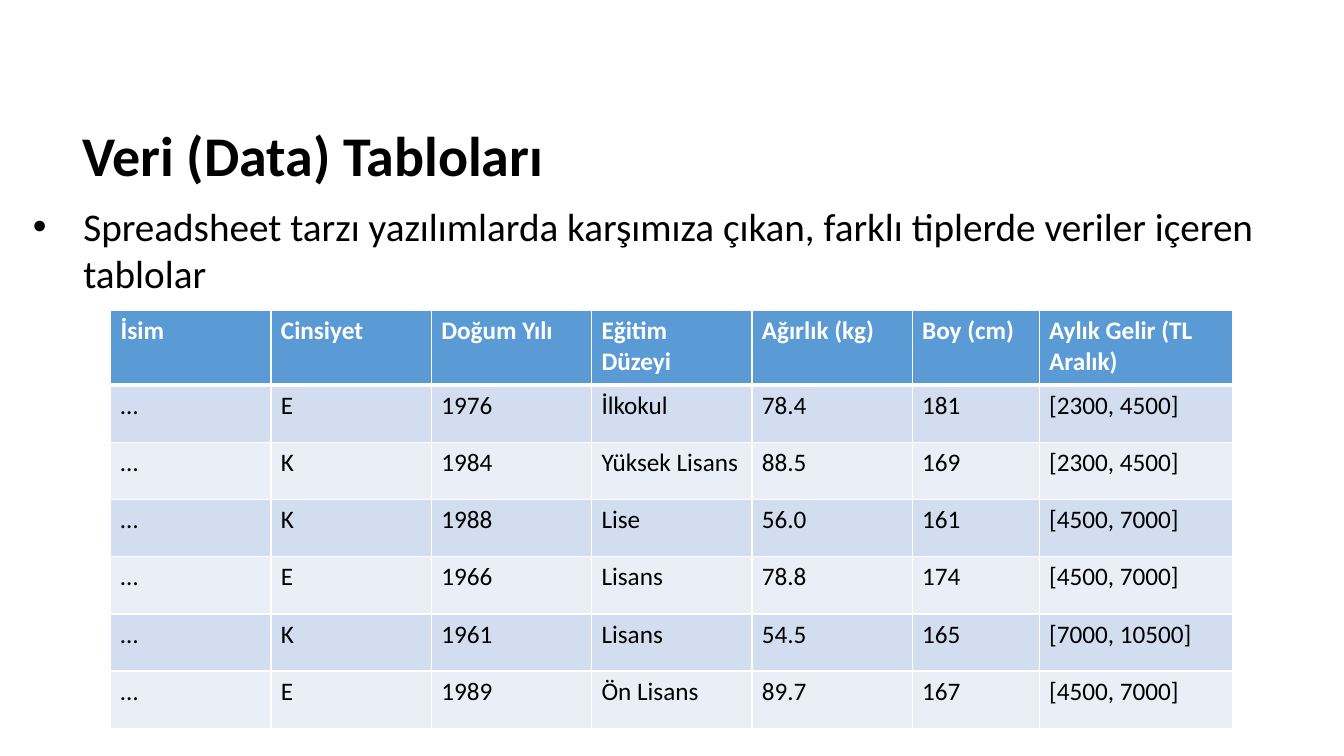
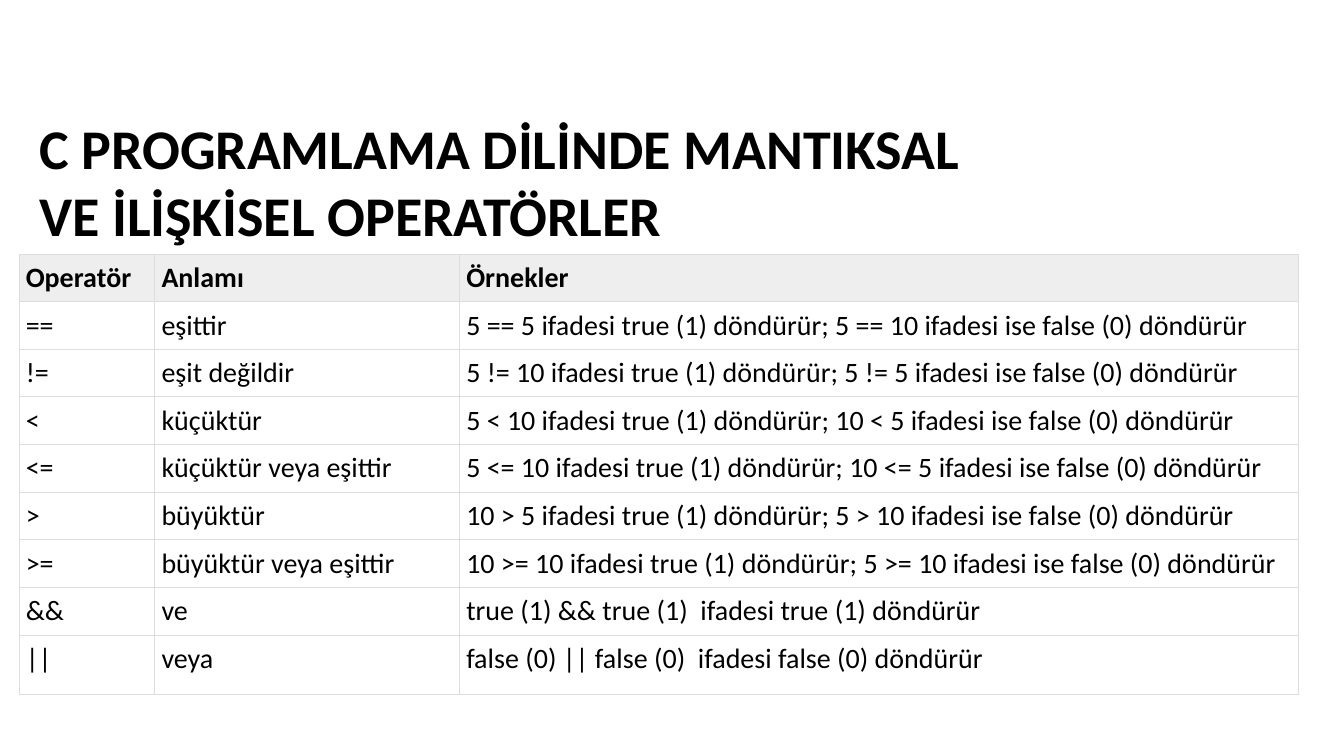
from dataclasses import dataclass

from pptx import Presentation
from pptx.dml.color import RGBColor
from pptx.enum.text import MSO_AUTO_SIZE as AutoSize
from pptx.oxml.ns import qn
from pptx.slide import Slide
from pptx.table import _Cell as Cell
from pptx.text.text import TextFrame
from pptx.util import Cm, Pt
from lxml.etree import SubElement

COLORS = {
    "text": "000000",
    "white": "FFFFFF",
    "blue": "5B9BD5",
    "band_dark": "D2DEEF",
    "band_light": "EAEFF7",
    "gray": "EEEEEE",
    "rule": "DDDDDD",
}
FONT = "Calibri"
TITLE_SIZE = 40
BULLET_SIZE = 28
BULLET_INDENT = Cm(1.27)


@dataclass(frozen=True)
class Box:
    left: float
    top: float
    width: float
    height: float

    def lengths(self) -> tuple[Cm, Cm, Cm, Cm]:
        return Cm(self.left), Cm(self.top), Cm(self.width), Cm(self.height)


@dataclass(frozen=True)
class TableStyle:
    """Look of a table; widths of borders are in points, margins in cm."""
    size: int
    header_fill: str
    header_text: str
    bands: tuple[str, ...]
    border: str
    border_width: float
    header_rule: float
    margin_x: float
    margin_y: float


@dataclass(frozen=True)
class TableData:
    left: float
    top: float
    columns: list[float]
    heights: list[float]
    rows: list[tuple[str, ...]]
    style: TableStyle


BANDED = TableStyle(18, "blue", "white", ("band_dark", "band_light"),
                    "white", 1, 3, 0.25, 0.13)
RULED = TableStyle(20, "gray", "text", ("white",), "rule", 0.75, 0.75, 0.17, 0.17)

PEOPLE = TableData(
    2.79, 7.82, [4.04] * 5 + [3.2, 4.88], [1.89] + [1.44] * 6,
    [
        ("İsim", "Cinsiyet", "Doğum Yılı", "Eğitim Düzeyi", "Ağırlık (kg)",
         "Boy (cm)", "Aylık Gelir (TL Aralık)"),
        ("…", "E", "1976", "İlkokul", "78.4", "181", "[2300, 4500]"),
        ("…", "K", "1984", "Yüksek Lisans", "88.5", "169", "[2300, 4500]"),
        ("…", "K", "1988", "Lise", "56.0", "161", "[4500, 7000]"),
        ("…", "E", "1966", "Lisans", "78.8", "174", "[4500, 7000]"),
        ("…", "K", "1961", "Lisans", "54.5", "165", "[7000, 10500]"),
        ("…", "E", "1989", "Ön Lisans", "89.7", "167", "[4500, 7000]"),
    ],
    BANDED,
)
OPERATORS = TableData(
    0.48, 6.4, [3.42, 7.68, 21.13], [1.2] * 8 + [1.5],
    [
        ("Operatör", "Anlamı", "Örnekler"),
        ("==", "eşittir",
         "5 == 5 ifadesi true (1) döndürür; 5 == 10 ifadesi ise false (0) döndürür"),
        ("!=", "eşit değildir",
         "5 != 10 ifadesi true (1) döndürür; 5 != 5 ifadesi ise false (0) döndürür"),
        ("<", "küçüktür",
         "5 < 10 ifadesi true (1) döndürür; 10 < 5 ifadesi ise false (0) döndürür"),
        ("<=", "küçüktür veya eşittir",
         "5 <= 10 ifadesi true (1) döndürür; 10 <= 5 ifadesi ise false (0) döndürür"),
        (">", "büyüktür",
         "10 > 5 ifadesi true (1) döndürür; 5 > 10 ifadesi ise false (0) döndürür"),
        (">=", "büyüktür veya eşittir",
         "10 >= 10 ifadesi true (1) döndürür; 5 >= 10 ifadesi ise false (0) döndürür"),
        ("&&", "ve", "true (1) && true (1)  ifadesi true (1) döndürür"),
        ("||", "veya", "false (0) || false (0)  ifadesi false (0) döndürür"),
    ],
    RULED,
)


def rgb(name: str) -> RGBColor:
    return RGBColor.from_string(COLORS[name])


def format_runs(frame: TextFrame, size: float, color: str, bold: bool) -> None:
    for paragraph in frame.paragraphs:
        for run in paragraph.runs:
            run.font.name = FONT
            run.font.size = Pt(size)
            run.font.bold = bold
            run.font.color.rgb = rgb(color)


def add_text(slide: Slide, box: Box, text: str, size: float,
             bold: bool, wrap: bool) -> TextFrame:
    frame = slide.shapes.add_textbox(*box.lengths()).text_frame
    frame.word_wrap = wrap
    frame.auto_size = AutoSize.SHAPE_TO_FIT_TEXT
    frame.text = text
    format_runs(frame, size, "text", bold)
    return frame


def add_title(slide: Slide, box: Box, text: str) -> None:
    add_text(slide, box, text, TITLE_SIZE, bold=True, wrap=False)


def add_bullet(slide: Slide, box: Box, text: str) -> None:
    frame = add_text(slide, box, text, BULLET_SIZE, bold=False, wrap=True)
    properties = frame.paragraphs[0]._p.get_or_add_pPr()
    properties.set("marL", str(BULLET_INDENT))
    properties.set("indent", str(-BULLET_INDENT))
    SubElement(properties, qn("a:buFont"), typeface="Arial")
    SubElement(properties, qn("a:buChar"), char="•")


def set_borders(cell: Cell, color: str, top: float, bottom: float, side: float) -> None:
    """Draw the four borders of a cell; must run before its fill is set."""
    properties = cell._tc.get_or_add_tcPr()
    for edge, width in (("L", side), ("R", side), ("T", top), ("B", bottom)):
        line = SubElement(properties, qn(f"a:ln{edge}"), w=str(Pt(width)))
        fill = SubElement(line, qn("a:solidFill"))
        SubElement(fill, qn("a:srgbClr"), val=COLORS[color])


def format_cell(cell: Cell, row: int, style: TableStyle) -> None:
    is_header = row == 0
    cell.margin_left = cell.margin_right = Cm(style.margin_x)
    cell.margin_top = cell.margin_bottom = Cm(style.margin_y)
    top = style.header_rule if row == 1 else style.border_width
    bottom = style.header_rule if is_header else style.border_width
    set_borders(cell, style.border, top, bottom, style.border_width)
    band = style.bands[(row - 1) % len(style.bands)]
    cell.fill.solid()
    cell.fill.fore_color.rgb = rgb(style.header_fill if is_header else band)
    color = style.header_text if is_header else "text"
    format_runs(cell.text_frame, style.size, color, is_header)


def add_data_table(slide: Slide, data: TableData) -> None:
    box = Box(data.left, data.top, sum(data.columns), sum(data.heights))
    table = slide.shapes.add_table(
        len(data.rows), len(data.columns), *box.lengths()).table
    table.horz_banding = False
    for column, width in zip(table.columns, data.columns):
        column.width = Cm(width)
    for row, (height, texts) in enumerate(zip(data.heights, data.rows)):
        table.rows[row].height = Cm(height)
        for column, text in enumerate(texts):
            cell = table.cell(row, column)
            cell.text_frame.text = text
            format_cell(cell, row, data.style)


def main() -> None:
    presentation = Presentation()
    presentation.slide_width = Cm(33.87)
    presentation.slide_height = Cm(19.05)
    blank = presentation.slide_layouts[6]

    people_slide = presentation.slides.add_slide(blank)
    add_bullet(people_slide, Box(0.58, 4.98, 32.31, 3.84),
               "Spreadsheet tarzı yazılımlarda karşımıza çıkan, "
               "farklı tiplerde veriler içeren tablolar")
    add_title(people_slide, Box(1.83, 2.92, 12.27, 1.96), "Veri (Data) Tabloları")
    add_data_table(people_slide, PEOPLE)

    operators_slide = presentation.slides.add_slide(blank)
    add_title(operators_slide, Box(0.74, 2.74, 24.26, 3.68),
              "C PROGRAMLAMA DİLİNDE MANTIKSAL\nVE İLİŞKİSEL OPERATÖRLER")
    add_data_table(operators_slide, OPERATORS)

    presentation.save("out.pptx")


if __name__ == "__main__":
    main()
